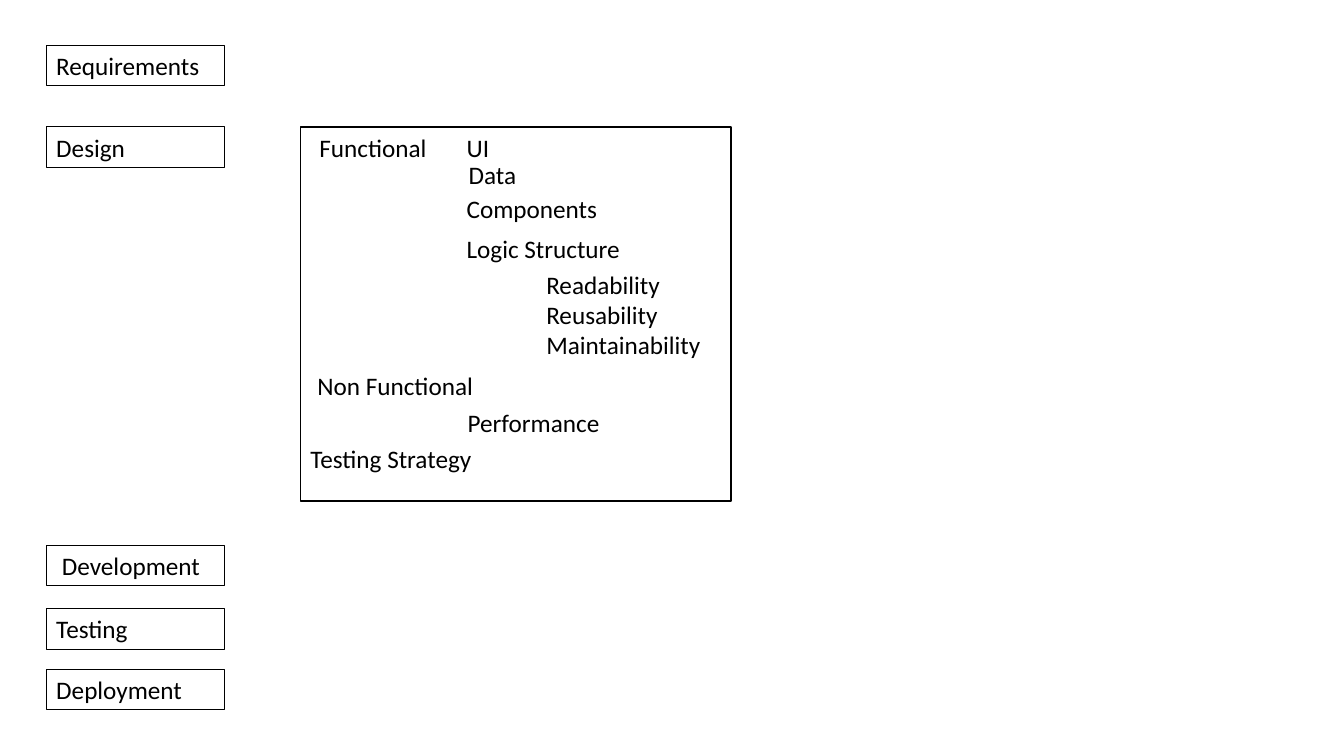
from pptx import Presentation
from pptx.dml.color import RGBColor
from pptx.enum.shapes import MSO_SHAPE
from pptx.enum.text import MSO_AUTO_SIZE, PP_ALIGN
from pptx.util import Inches, Pt

RECT = MSO_SHAPE.RECTANGLE
GROW = MSO_AUTO_SIZE.SHAPE_TO_FIT_TEXT
LEFT = PP_ALIGN.LEFT
COLORS = {"ink": "000000", "page": "FFFFFF"}
FONT = "Calibri"
LINE_H = 0.4

PHASES = [
    ("Requirements", 0),
    ("Design", 0.81),
    (" Development", 4.96),
    ("Testing", 5.59),
    ("Deployment", 6.19),
]
DESIGN_TOPICS = [
    ("Testing Strategy", 0, 3.09, 2.43, LINE_H),
    ("Functional", 0.09, 0, 1.36, LINE_H),
    ("Non Functional", 0.07, 2.36, 1.77, LINE_H),
    ("Performance", 1.56, 2.73, 1.77, LINE_H),
    ("UI", 1.55, 0, 1.77, LINE_H),
    ("Data", 1.57, 0.27, 1.77, LINE_H),
    ("Components", 1.55, 0.61, 4.11, LINE_H),
    ("Logic Structure", 1.55, 1.01, 1.77, LINE_H),
    ("Readability\nReusability\nMaintainability", 2.34, 1.36, 2.43, 1.01),
]


def rgb(name):
    """Return the named colour."""
    return RGBColor.from_string(COLORS[name])


def add_text(shapes, text, x, y, w, h, size=18, color="ink", line=None):
    """Add a text box with one paragraph per line of text, outlined if asked."""
    sp = shapes.add_textbox(Inches(x), Inches(y), Inches(w), Inches(h))
    tf = sp.text_frame
    tf.word_wrap = True
    tf.auto_size = GROW
    tf.text = text
    for p in tf.paragraphs:
        p.alignment = LEFT
        p.font.size = Pt(size)
        p.font.name = FONT
        p.font.color.rgb = rgb(color)
    if line:
        sp.line.color.rgb = rgb(color)
        sp.line.width = Pt(line)
    return sp


def add_phases(s, x, y, w):
    """Stack the outlined project phases down the left side."""
    for name, dy in PHASES:
        add_text(s.shapes, name, x, y + dy, w, LINE_H, line=0.75)


def add_design_panel(s, x, y, w, h):
    """Group the design topics with the frame around them."""
    shapes = s.shapes.add_group_shape().shapes
    for text, dx, dy, tw, th in DESIGN_TOPICS:
        add_text(shapes, text, x + dx, y + dy, tw, th)
    frame = shapes.add_shape(RECT, Inches(x), Inches(y), Inches(w), Inches(h))
    frame.shadow.inherit = False
    frame.fill.background()
    frame.line.color.rgb = rgb("ink")
    frame.line.width = Pt(1)


def main():
    """Build and save the slide."""
    prs = Presentation()
    prs.slide_width = Inches(13.33)
    prs.slide_height = Inches(7.5)
    s = prs.slides.add_slide(prs.slide_layouts[6])
    s.background.fill.solid()
    s.background.fill.fore_color.rgb = rgb("page")
    add_phases(s, 0.46, 0.45, 1.77)
    add_design_panel(s, 2.98, 1.26, 4.27, 3.71)
    prs.save("out.pptx")


if __name__ == "__main__":
    main()
